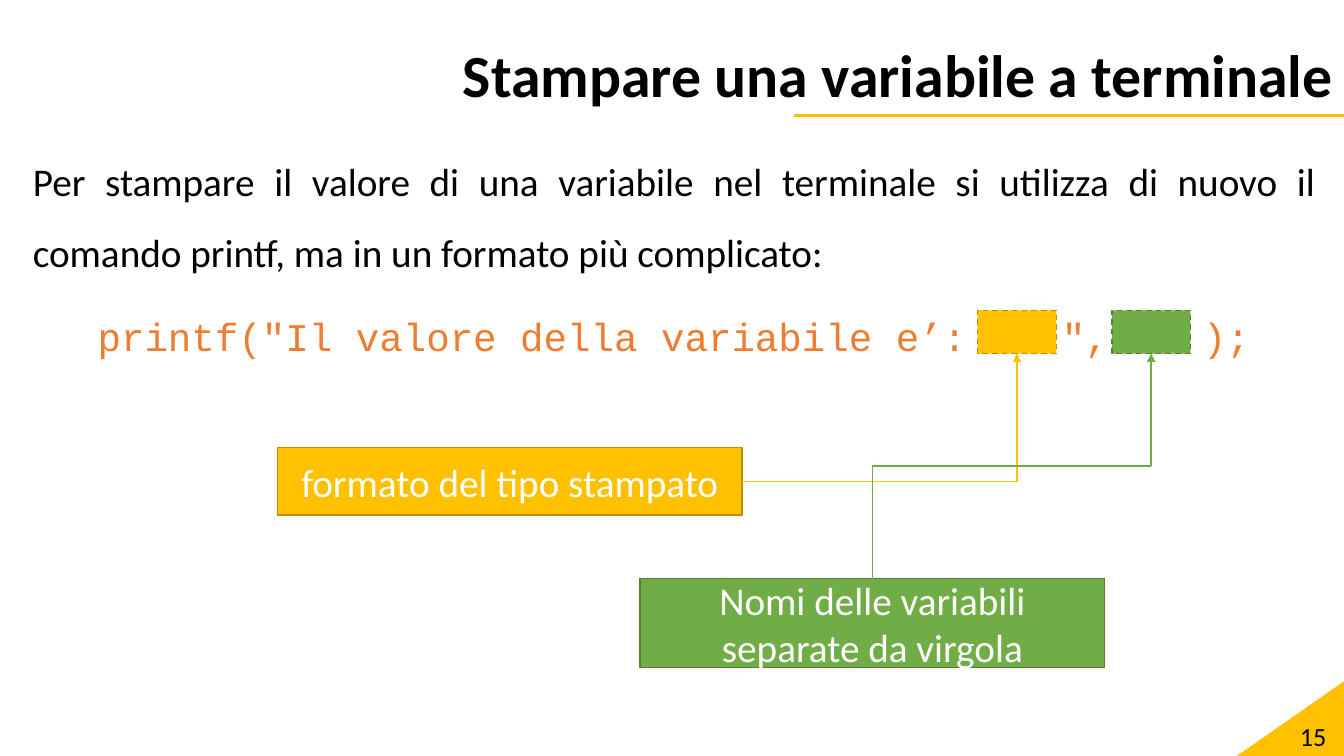
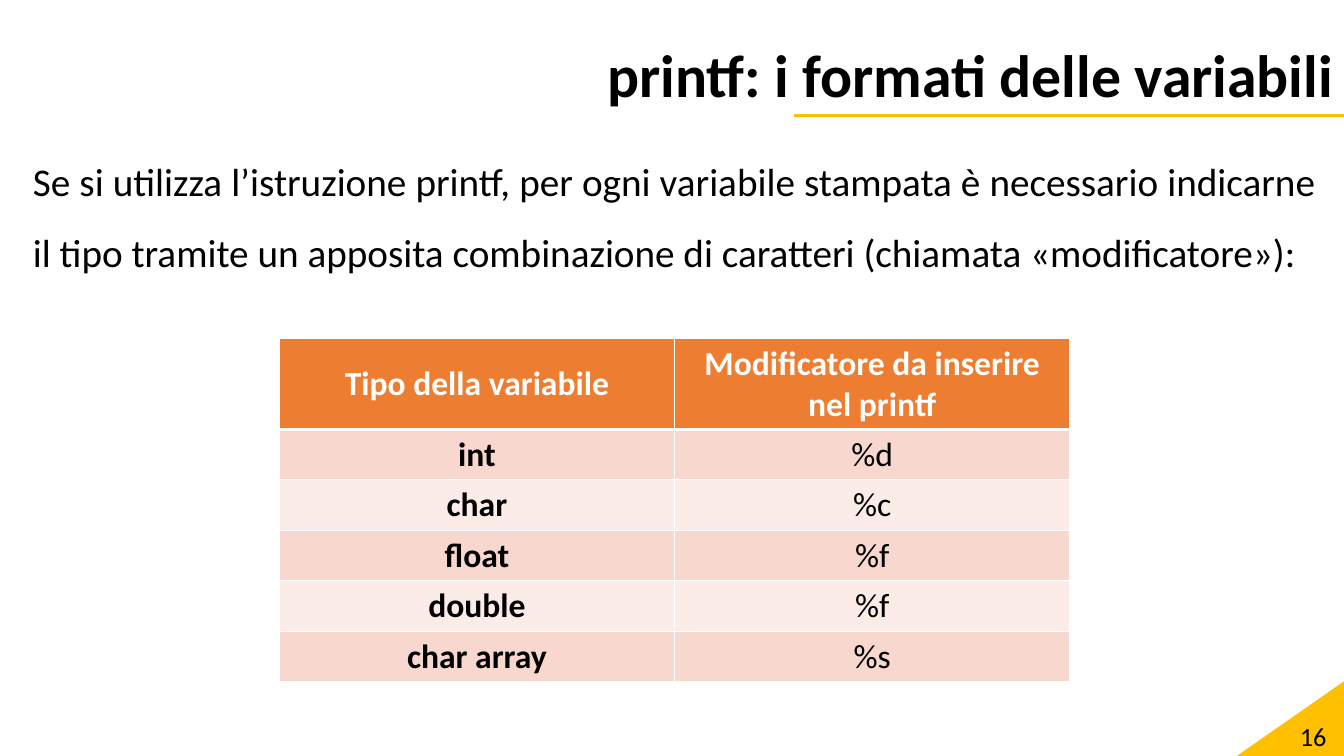
from lxml.etree import SubElement
from pptx import Presentation
from pptx.dml.color import RGBColor
from pptx.enum.dml import MSO_LINE
from pptx.enum.shapes import MSO_CONNECTOR as LINK, MSO_SHAPE as SHAPE
from pptx.enum.text import MSO_ANCHOR as ANCHOR, PP_ALIGN as ALIGN
from pptx.oxml.ns import qn
from pptx.util import Cm, Pt

WHITE = RGBColor(0xFF, 0xFF, 0xFF)
BLACK = RGBColor(0x00, 0x00, 0x00)
GOLD = RGBColor(0xFF, 0xC0, 0x00)
DARK_GOLD = RGBColor(0xBD, 0x8E, 0x00)
GREEN = RGBColor(0x70, 0xAD, 0x47)
DARK_GREEN = RGBColor(0x53, 0x80, 0x35)
ORANGE = RGBColor(0xED, 0x7D, 0x31)
BANDS = (RGBColor(0xFC, 0xEC, 0xE8), RGBColor(0xF8, 0xD7, 0xCE))

WIDTH, HEIGHT = 33.87, 19.05
TITLE = {"size": Pt(42.7), "bold": True}
NUMBER = {"size": Pt(18.7)}
BODY = {"size": Pt(28)}
CODE = {"size": Pt(28), "name": "Courier New", "color": ORANGE}
LABEL = {"size": Pt(28), "color": WHITE}
SPACED = {"line_spacing": 1.5, "space_before": Pt(10)}
CODE_CHAR = 28 * 0.6 / 72 * 2.54
CODE_START = 1.63

FORMATS = (
    ("Tipo della variabile", "Modificatore da inserire nel printf"),
    ("int", "%d"),
    ("char", "%c"),
    ("float", "%f"),
    ("double", "%f"),
    ("char array", "%s"),
)


def apply(target, values):
    for key, value in values.items():
        setattr(target, key, value)


def write(paragraph, text, style, **layout):
    run = paragraph.add_run()
    run.text = text
    font = {"name": "Calibri", "color": BLACK, **style}
    run.font.color.rgb = font.pop("color")
    apply(run.font, font)
    apply(paragraph, layout)


def add_text(slide, box, text, style, anchor=ANCHOR.TOP, **layout):
    frame = slide.shapes.add_textbox(*map(Cm, box)).text_frame
    apply(frame, {"word_wrap": True, "vertical_anchor": anchor})
    write(frame.paragraphs[0], text, style, **layout)
    return frame


def add_block(slide, kind, box, fill, outline=None, dash=None):
    block = slide.shapes.add_shape(kind, *map(Cm, box))
    block.shadow.inherit = False
    block.fill.solid()
    block.fill.fore_color.rgb = fill
    if outline is None:
        block.line.fill.background()
    else:
        block.line.color.rgb = outline
        apply(block.line, {"width": Pt(1), "dash_style": dash})
    return block


def add_label(slide, box, text, fill, outline):
    label = add_block(slide, SHAPE.RECTANGLE, box, fill, outline)
    apply(label.text_frame, {"word_wrap": True, "vertical_anchor": ANCHOR.MIDDLE})
    write(label.text_frame.paragraphs[0], text, LABEL, alignment=ALIGN.CENTER)
    return label


def add_line(slide, kind, color, width, ends=(0, 0, 0, 0)):
    line = slide.shapes.add_connector(kind, *map(Cm, ends))
    line.line.color.rgb = color
    line.line.width = Pt(width)
    SubElement(line._element.spPr, qn("a:effectLst"))
    return line


def add_arrow(slide, label, side, slot, color):
    arrow = add_line(slide, LINK.ELBOW, color, 1)
    arrow.begin_connect(label, side)
    arrow.end_connect(slot, 2)
    SubElement(arrow.line._get_or_add_ln(), qn("a:tailEnd"), type="triangle")
    return arrow


def bend_once(arrow):
    arrow._element.spPr.find(qn("a:prstGeom")).set("prst", "bentConnector2")


def start_upward(arrow):
    across, up = arrow.width, arrow.height
    shift = (across - up) // 2
    apply(arrow, {"left": arrow.left + shift, "top": arrow.top - shift,
                  "width": up, "height": across})
    frame = arrow._element.spPr.find(qn("a:xfrm"))
    for key, value in {"rot": "5400000", "flipH": "1", "flipV": "1"}.items():
        frame.set(key, value)


def add_tabs(paragraph, stops):
    tabs = SubElement(paragraph._p.get_or_add_pPr(), qn("a:tabLst"))
    for stop in stops:
        SubElement(tabs, qn("a:tab"), pos=str(int(Cm(stop))), algn="l")


def border_cell(cell, bottom):
    properties = cell._tc.get_or_add_tcPr()
    for side, width in (("L", 1), ("R", 1), ("T", 1), ("B", bottom)):
        edge = SubElement(properties, qn(f"a:ln{side}"), w=str(int(Pt(width))))
        fill = SubElement(edge, qn("a:solidFill"))
        SubElement(fill, qn("a:srgbClr"), val=str(WHITE))


def add_formats(slide, left, top, column, header, row_height):
    height = header + row_height * (len(FORMATS) - 1)
    box = (left, top, 2 * column, height)
    table = slide.shapes.add_table(len(FORMATS), 2, *map(Cm, box)).table
    for table_column in table.columns:
        table_column.width = Cm(column)
    for i, values in enumerate(FORMATS):
        table.rows[i].height = Cm(row_height if i else header)
        for j, value in enumerate(values):
            cell = table.cell(i, j)
            border_cell(cell, 1 if i else 3)
            cell.fill.solid()
            cell.fill.fore_color.rgb = BANDS[i % 2] if i else ORANGE
            cell.vertical_anchor = ANCHOR.MIDDLE
            style = {"size": Pt(24), "bold": i == 0 or j == 0,
                     "color": BLACK if i else WHITE}
            write(cell.text_frame.paragraphs[0], value, style, alignment=ALIGN.CENTER)


def add_page(deck, number, title, intro):
    slide = deck.slides.add_slide(deck.slide_layouts[6])
    corner = add_block(slide, SHAPE.RIGHT_TRIANGLE, (31.17, 17.17, 2.7, 1.88), GOLD)
    corner._element.spPr.find(qn("a:xfrm")).set("flipH", "1")
    add_line(slide, LINK.STRAIGHT, GOLD, 2.25, (20, 2.9, WIDTH, 2.9))
    add_text(slide, (0, 1.02, WIDTH, 1.88), title, TITLE, ANCHOR.MIDDLE,
             alignment=ALIGN.RIGHT, line_spacing=0.9)
    add_text(slide, (26.06, 18.03, 7.62, 1.02), str(number), NUMBER, ANCHOR.MIDDLE,
             alignment=ALIGN.RIGHT)
    body = add_text(slide, (0.58, 3.25, 32.82, 13.92), intro, BODY,
                    alignment=ALIGN.JUSTIFY, **SPACED)
    return slide, body


def add_print_page(deck):
    slide, body = add_page(
        deck, 15, "Stampare una variabile a terminale",
        "Per stampare il valore di una variabile nel terminale si utilizza "
        "di nuovo il comando printf, ma in un formato più complicato:")
    code = body.add_paragraph()
    write(code, '\tprintf("Il valore della variabile e’:\t",\t);', CODE,
          alignment=ALIGN.LEFT, **SPACED)
    add_tabs(code, [CODE_START + CODE_CHAR * count for count in (0, 41, 47)])
    format_slot, names_slot = (
        add_block(slide, SHAPE.RECTANGLE, (left, 7.82, 1.98, 1.09), fill, outline,
                  MSO_LINE.DASH)
        for left, fill, outline in ((24.64, GOLD, DARK_GOLD), (28.02, GREEN, DARK_GREEN)))
    format_label = add_label(slide, (6.99, 11.28, 11.71, 1.7),
                             "formato del tipo stampato", GOLD, DARK_GOLD)
    names_label = add_label(slide, (16.13, 14.58, 11.71, 2.24),
                            "Nomi delle variabili separate da virgola", GREEN, DARK_GREEN)
    bend_once(add_arrow(slide, format_label, 3, format_slot, GOLD))
    start_upward(add_arrow(slide, names_label, 0, names_slot, GREEN))


def add_formats_page(deck):
    slide, _ = add_page(
        deck, 16, "printf: i formati delle variabili",
        "Se si utilizza l’istruzione printf, per ogni variabile stampata è "
        "necessario indicarne il tipo tramite un apposita combinazione di "
        "caratteri (chiamata «modificatore»):")
    add_formats(slide, 7.04, 8.53, 9.96, 2.29, 1.27)


def main():
    deck = Presentation()
    apply(deck, {"slide_width": Cm(WIDTH), "slide_height": Cm(HEIGHT)})
    add_print_page(deck)
    add_formats_page(deck)
    deck.save("out.pptx")


if __name__ == "__main__":
    main()
